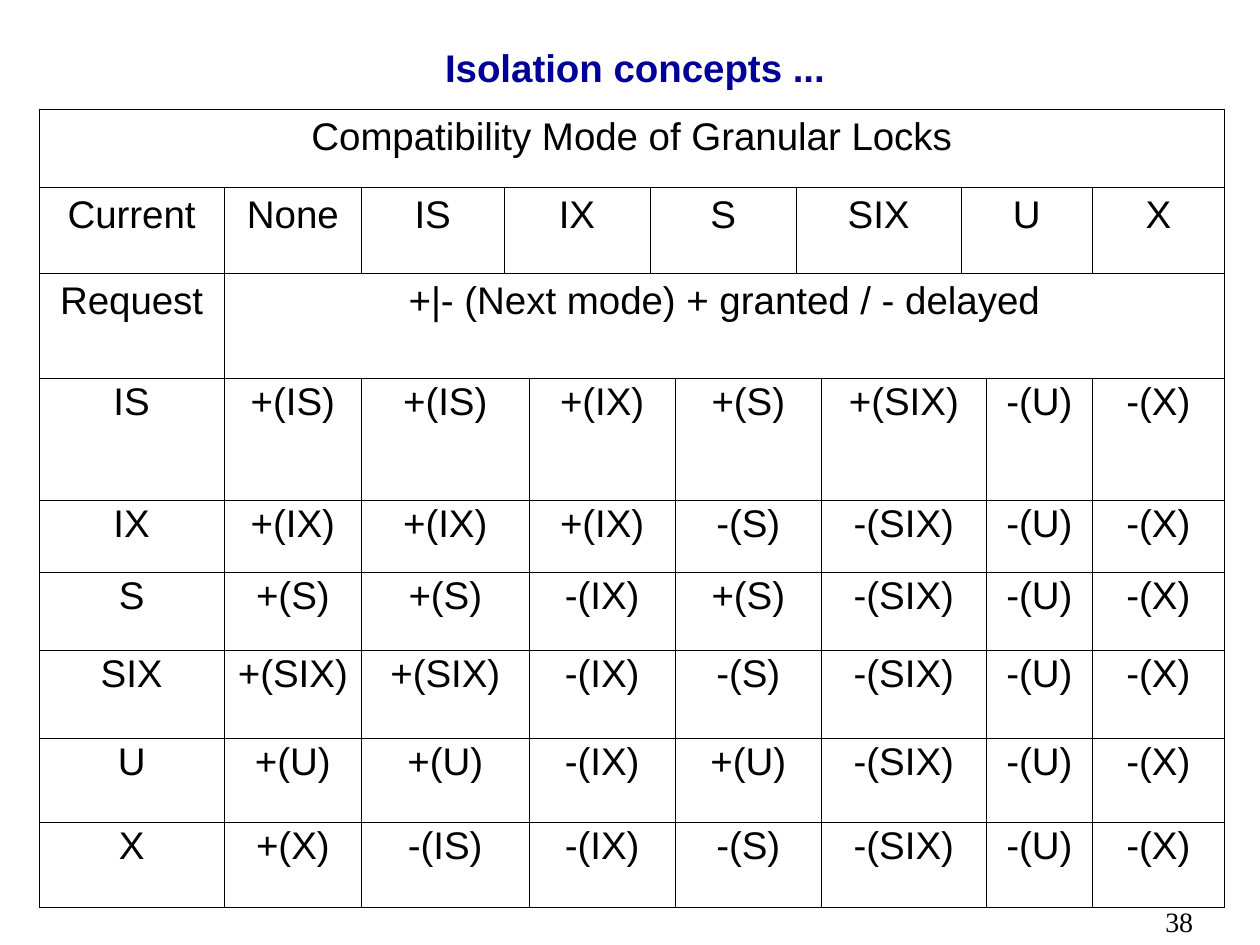
from itertools import pairwise

from lxml import etree
from pptx import Presentation
from pptx.dml.color import RGBColor
from pptx.enum import text
from pptx.oxml.ns import qn
from pptx.util import Inches, Pt

INK, NAVY = "000000", "000099"
COLUMN_WIDTHS = [1.47, 1.09, 1.13, 0.2, 0.96, 0.2, 0.96, 0.2, 1.11, 0.2, 0.84, 1.05]
ROW_HEIGHTS = [0.62, 0.68, 0.83, 0.97, 0.57, 0.62, 0.7, 0.67, 0.67]
CURRENT_STARTS = [0, 1, 2, 3, 5, 7, 9, 11]
REQUEST_STARTS = [0, 1, 2, 4, 6, 8, 10, 11]
LOCK_ROWS = [
    ([0], ["Compatibility Mode of Granular Locks"]),
    (CURRENT_STARTS, ["Current", "None", "IS", "IX", "S", "SIX", "U", "X"]),
    ([0, 1], ["Request", "+|- (Next mode) + granted / - delayed"]),
] + [(REQUEST_STARTS, modes.split()) for modes in (
    "IS +(IS) +(IS) +(IX) +(S) +(SIX) -(U) -(X)",
    "IX +(IX) +(IX) +(IX) -(S) -(SIX) -(U) -(X)",
    "S +(S) +(S) -(IX) +(S) -(SIX) -(U) -(X)",
    "SIX +(SIX) +(SIX) -(IX) -(S) -(SIX) -(U) -(X)",
    "U +(U) +(U) -(IX) +(U) -(SIX) -(U) -(X)",
    "X +(X) -(IS) -(IX) -(S) -(SIX) -(U) -(X)",
)]


def set_values(target, values):
    """Set attributes of target from a dict."""
    for name, value in values.items():
        setattr(target, name, value)


def write(frame, wording, size, color, font="Arial", bold=False, **layout):
    """Write one formatted paragraph into a text frame."""
    frame.text = wording
    paragraph = frame.paragraphs[0]
    set_values(paragraph, layout)
    run_font = paragraph.runs[0].font
    set_values(run_font, {"name": font, "size": Pt(size), "bold": bold})
    run_font.color.rgb = RGBColor.from_string(color)


def rule_cell(cell, color, width):
    """Draw thin borders on every side of a cell and clear its fill."""
    properties = cell._tc.get_or_add_tcPr()
    for side in ("lnL", "lnR", "lnT", "lnB"):
        line = etree.SubElement(properties, qn(f"a:{side}"), w=str(Pt(width)))
        fill = etree.SubElement(line, qn("a:solidFill"))
        etree.SubElement(fill, qn("a:srgbClr"), val=color)
    cell.fill.background()


def add_heading(slide, left, top, width, height):
    """Place the slide title."""
    heading = slide.shapes.title
    set_values(heading, {"left": left, "top": top, "width": width, "height": height})
    heading.text_frame.vertical_anchor = text.MSO_ANCHOR.MIDDLE
    write(heading.text_frame, "Isolation concepts ...", 22, NAVY, bold=True,
          alignment=text.PP_ALIGN.CENTER)


def add_lock_table(slide, left, top, width, height):
    """Place the lock compatibility table with its merged cells."""
    locks = slide.shapes.add_table(
        len(ROW_HEIGHTS), len(COLUMN_WIDTHS), left, top, width, height).table
    set_values(locks, {"first_row": False, "horz_banding": False})
    for column, column_width in zip(locks.columns, COLUMN_WIDTHS):
        column.width = Inches(column_width)
    for row, row_height in zip(locks.rows, ROW_HEIGHTS):
        row.height = Inches(row_height)
    for cell in locks.iter_cells():
        rule_cell(cell, INK, 0.45)
    for index, (starts, modes) in enumerate(LOCK_ROWS):
        spacing = 0.9 if starts is REQUEST_STARTS else 1.0
        spans = pairwise(starts + [len(COLUMN_WIDTHS)])
        for (start, end), mode in zip(spans, modes):
            cell = locks.cell(index, start)
            if end - start > 1:
                cell.merge(locks.cell(index, end - 1))
            write(cell.text_frame, mode, 22, INK,
                  alignment=text.PP_ALIGN.CENTER, line_spacing=spacing)


def add_page_number(slide, left, top, width, height):
    """Place the page number."""
    page = slide.shapes.add_textbox(left, top, width, height).text_frame
    page.word_wrap = True
    write(page, "38", 16, INK, font="Times New Roman")


def main():
    """Build and save the slide."""
    deck = Presentation()
    set_values(deck, {"slide_width": Inches(10), "slide_height": Inches(7.5)})
    slide = deck.slides.add_slide(deck.slide_layouts.get_by_name("Title Only"))
    for place, box in (
        (add_page_number, (9.15, 7.13, 0.85, 0.37)),
        (add_heading, (0.79, 0.19, 8.5, 0.69)),
        (add_lock_table, (0.31, 0.87, 9.41, 6.34)),
    ):
        place(slide, *map(Inches, box))
    deck.save("out.pptx")


if __name__ == "__main__":
    main()
